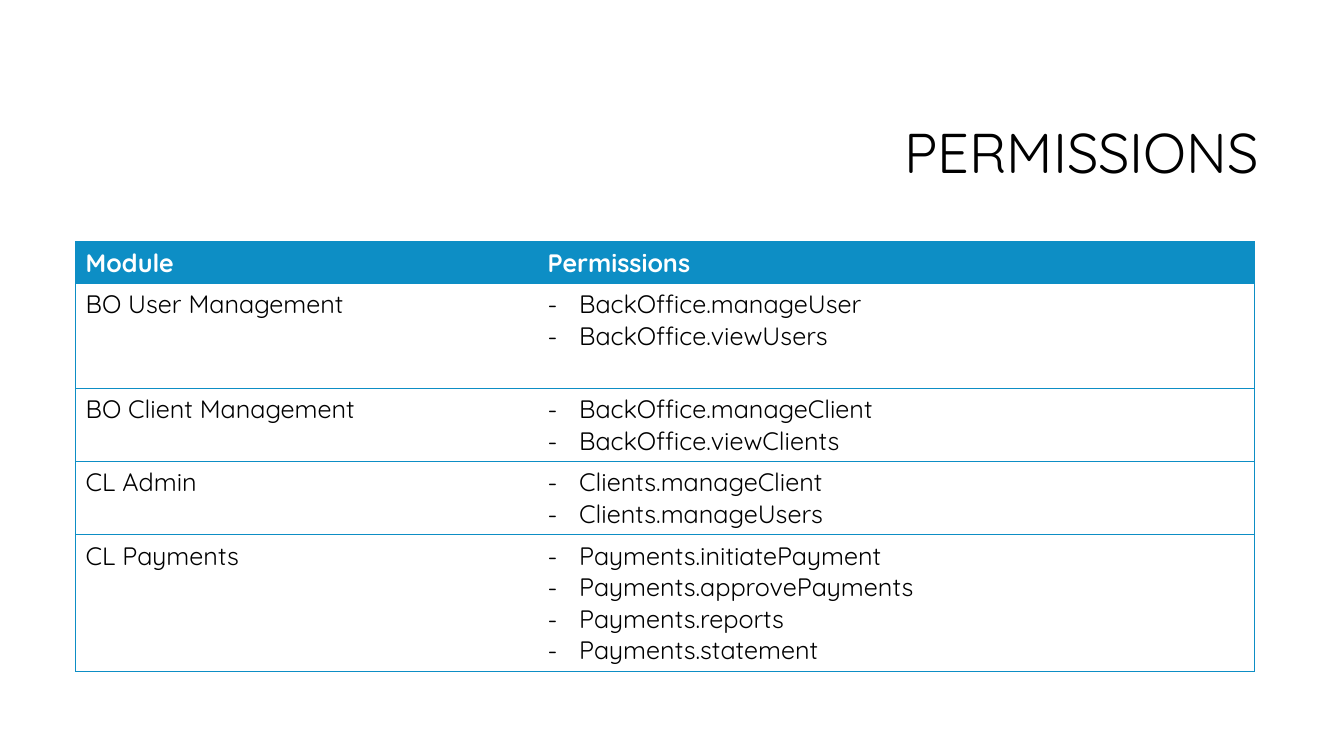
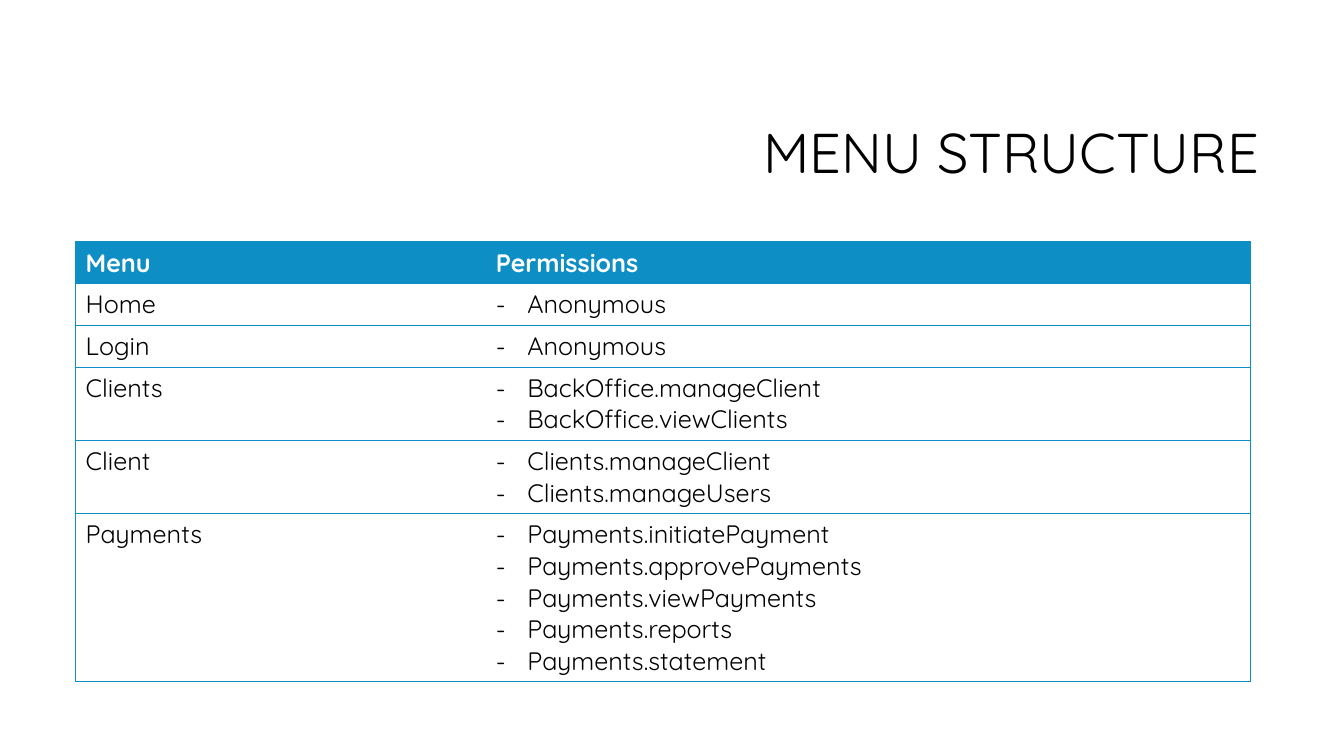
"""Build two slides that tabulate permissions by module and by menu."""
from lxml.etree import SubElement
from pptx import Presentation
from pptx.dml.color import RGBColor
from pptx.enum.text import MSO_ANCHOR, MSO_AUTO_SIZE, PP_ALIGN
from pptx.oxml.ns import qn
from pptx.util import Pt

FONT = "Quicksand"
BLUE, BLACK, WHITE = "0D8EC5", "000000", "FFFFFF"
PLAIN_TABLE_STYLE = "{2D5ABB26-0587-4C30-8999-92F81FD0307C}"
LINE_HEIGHT, CELL_PADDING, BULLET_INDENT = 22.5, 7.2, 22.5

CLIENT_VIEWS = ["BackOffice.manageClient", "BackOffice.viewClients"]
CLIENT_ADMIN = ["Clients.manageClient", "Clients.manageUsers"]
PAYMENT_ENTRY = ["Payments.initiatePayment", "Payments.approvePayments"]
PAYMENT_OUTPUT = ["Payments.reports", "Payments.statement"]

SLIDES = [
    ("PERMISSIONS", "Module", (330, 512), [
        ("BO User Management", ["BackOffice.manageUser", "BackOffice.viewUsers"], 3),
        ("BO Client Management", CLIENT_VIEWS, 2),
        ("CL Admin", CLIENT_ADMIN, 2),
        ("CL Payments", PAYMENT_ENTRY + PAYMENT_OUTPUT, 4),
    ]),
    ("MENU STRUCTURE", "Menu", (293, 546.5), [
        ("Home", ["Anonymous"], 1),
        ("Login", ["Anonymous"], 1),
        ("Clients", CLIENT_VIEWS, 2),
        ("Client", CLIENT_ADMIN, 2),
        ("Payments", PAYMENT_ENTRY + ["Payments.viewPayments"] + PAYMENT_OUTPUT, 5),
    ]),
]


def write(paragraph, text, size=18, color=BLACK, bold=False, bullet=None):
    run = paragraph.add_run()
    run.text = text
    run.font.name = FONT
    run.font.size = Pt(size)
    run.font.bold = bold
    run.font.color.rgb = RGBColor.from_string(color)
    if bullet:
        properties = paragraph._p.get_or_add_pPr()
        properties.set("marL", str(Pt(BULLET_INDENT)))
        properties.set("indent", str(-Pt(BULLET_INDENT)))
        SubElement(properties, qn("a:buFont"), typeface=FONT)
        SubElement(properties, qn("a:buChar"), char=bullet)


def add_borders(cell, sides):
    properties = cell._tc.get_or_add_tcPr()
    for side in sides:
        line = SubElement(properties, qn(f"a:ln{side}"), w=str(Pt(0.75)))
        fill = SubElement(line, qn("a:solidFill"))
        SubElement(fill, qn("a:srgbClr"), val=BLUE)


presentation = Presentation()
presentation.slide_width = Pt(960)
presentation.slide_height = Pt(540)

for heading, first_header, widths, entries in SLIDES:
    slide = presentation.slides.add_slide(presentation.slide_layouts[5])
    title = slide.shapes.title
    title.left, title.top, title.width, title.height = Pt(228), Pt(60.5), Pt(678.5), Pt(101.5)
    title.text_frame.auto_size = MSO_AUTO_SIZE.NONE
    title.text_frame.vertical_anchor = MSO_ANCHOR.MIDDLE
    title_paragraph = title.text_frame.paragraphs[0]
    title_paragraph.alignment = PP_ALIGN.RIGHT
    title_paragraph.line_spacing = 0.9
    write(title_paragraph, heading, size=40)

    rows = [(first_header, ["Permissions"], 1)] + entries
    heights = [CELL_PADDING + LINE_HEIGHT * lines for _, _, lines in rows]
    frame = slide.shapes.add_table(
        len(rows), 2, Pt(54), Pt(172.8), Pt(sum(widths)), Pt(sum(heights)))
    table = frame.table
    table._tbl.tblPr.find(qn("a:tableStyleId")).text = PLAIN_TABLE_STYLE
    for column, width in zip(table.columns, widths):
        column.width = Pt(width)

    for row_index, (name, permissions, _) in enumerate(rows):
        is_header = row_index == 0
        table.rows[row_index].height = Pt(heights[row_index])
        for column_index, texts in enumerate([[name], permissions]):
            cell = table.cell(row_index, column_index)
            add_borders(cell, ("LTB", "RTB")[column_index])
            if is_header:
                cell.fill.solid()
                cell.fill.fore_color.rgb = RGBColor.from_string(BLUE)
            else:
                cell.fill.background()
            for text_index, text in enumerate(texts):
                text_frame = cell.text_frame
                paragraph = text_frame.add_paragraph() if text_index else text_frame.paragraphs[0]
                write(paragraph, text, color=WHITE if is_header else BLACK, bold=is_header,
                      bullet="-" if column_index and not is_header else None)

presentation.save("out.pptx")
